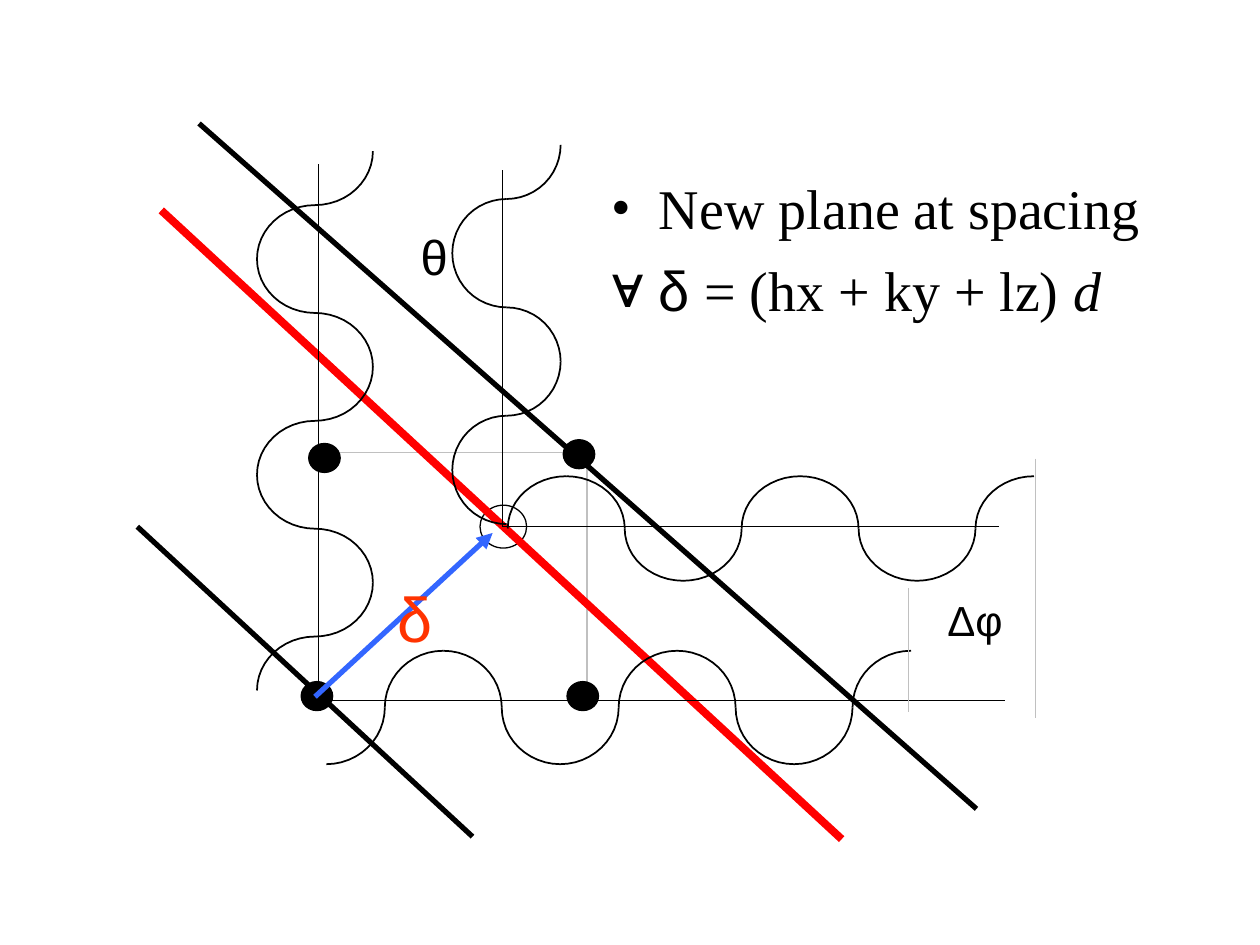
from dataclasses import dataclass
from math import cos, pi, sin
from typing import Optional

from lxml.etree import SubElement
from pptx import Presentation
from pptx.dml.color import RGBColor
from pptx.enum.shapes import MSO_CONNECTOR, MSO_SHAPE
from pptx.enum.text import MSO_ANCHOR, MSO_AUTO_SIZE, PP_ALIGN
from pptx.oxml.ns import qn
from pptx.util import Emu, Inches, Pt


@dataclass(frozen=True)
class Theme:
    black: str = "000000"
    white: str = "FFFFFF"
    grey: str = "C0C0C0"
    red: str = "FF0000"
    blue: str = "3366FF"
    orange: str = "FF3300"
    serif: str = "Times New Roman"
    sans: str = "Arial"
    body_size: int = 32
    theta_size: int = 28
    delta_size: int = 36
    phase_size: int = 24
    hairline: float = 0.75
    wave_line: float = 1
    plane_line: float = 3
    new_plane_line: float = 4.5


@dataclass(frozen=True)
class Box:
    col: float
    row: float
    cols: float
    rows: float


@dataclass(frozen=True)
class Stroke:
    start: tuple[float, float]
    end: tuple[float, float]
    color: str
    width: float
    arrow: bool = False


@dataclass(frozen=True)
class Wave:
    origin: tuple[float, float]
    travel: tuple[float, float]
    swing: tuple[float, float]
    first_quarter: int
    quarters: int


@dataclass(frozen=True)
class Label:
    box: Box
    symbol: str
    size: int
    color: str


THEME = Theme()
COLUMNS, ROWS = 100, 75
CELL = Inches(10) // COLUMNS
ARC_STEPS = 12

UNIT_CELL = Box(25.3, 35.9, 21.3, 19.7)
ATOM_COLS, ATOM_ROWS = 2.5, 2.3
ATOMS = [(24.5, 35.2), (44.7, 34.9), (23.9, 54.1), (45, 54.1)]
NEW_ATOM = Box(38.1, 40.1, 3.7, 3.4)
LOWER_PLANE = Stroke((10.9, 41.8), (37.5, 66.4), THEME.black, THEME.plane_line)
UPPER_PLANE = Stroke((15.8, 9.8), (77.5, 64.2), THEME.black, THEME.plane_line)
NEW_PLANE = Stroke((12.8, 16.7), (66.8, 66.6), THEME.red, THEME.new_plane_line)
SPACING = Stroke((25, 55.3), (39.1, 42.3), THEME.blue, THEME.plane_line, True)
RAYS = [
    Stroke(start, end, THEME.black, THEME.hairline)
    for start, end in [
        ((25.3, 55.6), (25.3, 13)),
        ((39.9, 41.8), (39.9, 13.5)),
        ((39.9, 41.8), (79.3, 41.8)),
        ((26.1, 55.6), (79.8, 55.6)),
    ]
]
PHASE_MARKS = [
    Stroke((col, top), (col, bottom), THEME.grey, THEME.hairline)
    for col, top, bottom in [(72.1, 46.7, 56.5), (82.2, 36.4, 57)]
]
WAVES = [
    Wave((40.3, 41.95), (4.64, 0), (0, -4.15), 0, 9),
    Wave((25.9, 56.15), (4.64, 0), (0, -4.5), 3, 10),
    Wave((25, 54.8), (0, -4.28), (4.6, 0), 3, 10),
    Wave((40.2, 41.6), (0, -4.3), (-4.3, 0), 0, 7),
]
THETA = Label(Box(32.4, 17.5, 10.9, 7.9), "θ", THEME.theta_size, THEME.black)
DELTA = Label(Box(30.6, 45.5, 8.8, 8.1), "δ", THEME.delta_size, THEME.orange)
PHASE = Label(Box(74.2, 46.7, 11.2, 7.9), "Δφ", THEME.phase_size, THEME.black)
STATEMENT = Box(47.5, 13.3, 47.5, 15.8)
BULLETS = [
    ("•", [("New plane at spacing", THEME.serif, False)]),
    ("∀", [("δ", THEME.sans, False),
           (" = (hx + ky + lz) ", THEME.serif, False),
           ("d", THEME.serif, True)]),
]


def cells(count: float) -> Emu:
    return Emu(round(count * CELL))


def frame(box: Box) -> tuple[Emu, ...]:
    return tuple(cells(n) for n in (box.col, box.row, box.cols, box.rows))


def outline(shape, color: str, width: float) -> None:
    shape.line.color.rgb = RGBColor.from_string(color)
    shape.line.width = Pt(width)


def draw_solid(shapes, kind: MSO_SHAPE, box: Box, fill: str, edge: str) -> None:
    solid = shapes.add_shape(kind, *frame(box))
    solid.shadow.inherit = False
    solid.fill.solid()
    solid.fill.fore_color.rgb = RGBColor.from_string(fill)
    outline(solid, edge, THEME.hairline)


def draw_stroke(shapes, stroke: Stroke) -> None:
    ends = [cells(n) for n in (*stroke.start, *stroke.end)]
    connector = shapes.add_connector(MSO_CONNECTOR.STRAIGHT, *ends)
    outline(connector, stroke.color, stroke.width)
    properties = connector._element.spPr
    if stroke.arrow:
        SubElement(properties.find(qn("a:ln")), qn("a:tailEnd"), type="triangle")
    SubElement(properties, qn("a:effectLst"))


def wave_point(wave: Wave, index: int, turn: float) -> tuple[int, int]:
    quarter = wave.first_quarter + index
    rising = quarter % 2 == 0
    sign = 1 if quarter % 4 < 2 else -1
    along = index + (1 - cos(turn) if rising else sin(turn))
    across = sign * (sin(turn) if rising else cos(turn))
    col, row = (o + along * t + across * s
                for o, t, s in zip(wave.origin, wave.travel, wave.swing))
    return cells(col), cells(row)


def draw_wave(shapes, wave: Wave) -> None:
    group = shapes.add_group_shape()
    for index in range(wave.quarters):
        points = [wave_point(wave, index, step * pi / 2 / ARC_STEPS)
                  for step in range(ARC_STEPS + 1)]
        builder = group.shapes.build_freeform(*points[0])
        builder.add_line_segments(points[1:], close=False)
        arc = builder.convert_to_shape()
        arc.shadow.inherit = False
        arc.fill.background()
        outline(arc, THEME.black, THEME.wave_line)


def add_run(paragraph, text: str, font: str, size: int, color: str,
            italic: Optional[bool] = None) -> None:
    run = paragraph.add_run()
    run.text = text
    run.font.name = font
    run.font.size = Pt(size)
    run.font.italic = italic
    run.font.color.rgb = RGBColor.from_string(color)


def draw_label(shapes, label: Label) -> None:
    text_frame = shapes.add_textbox(*frame(label.box)).text_frame
    text_frame.word_wrap = True
    add_run(text_frame.paragraphs[0], label.symbol, THEME.sans, label.size, label.color)


def set_bullet(paragraph, symbol: str) -> None:
    properties = paragraph._p.get_or_add_pPr()
    properties.set("marL", str(cells(3.8)))
    properties.set("indent", str(-cells(3.8)))
    color = SubElement(properties, qn("a:buClr"))
    SubElement(color, qn("a:srgbClr"), val=THEME.black)
    SubElement(properties, qn("a:buFont"), typeface=THEME.serif)
    SubElement(properties, qn("a:buChar"), char=symbol)


def write_statement(body) -> None:
    body.left, body.top, body.width, body.height = frame(STATEMENT)
    text_frame = body.text_frame
    text_frame.auto_size = MSO_AUTO_SIZE.NONE
    text_frame.vertical_anchor = MSO_ANCHOR.TOP
    text_frame.word_wrap = True
    for index, (symbol, runs) in enumerate(BULLETS):
        paragraph = text_frame.add_paragraph() if index else text_frame.paragraphs[0]
        paragraph.alignment = PP_ALIGN.LEFT
        paragraph.space_before = Pt(8)
        set_bullet(paragraph, symbol)
        for text, font, italic in runs:
            add_run(paragraph, text, font, THEME.body_size, THEME.black, italic)


def main() -> None:
    deck = Presentation()
    deck.slide_width, deck.slide_height = cells(COLUMNS), cells(ROWS)
    slide = deck.slides.add_slide(deck.slide_layouts[1])
    shapes = slide.shapes
    title = shapes.title._element
    title.getparent().remove(title)
    write_statement(slide.placeholders[1])
    draw_solid(shapes, MSO_SHAPE.RECTANGLE, UNIT_CELL, THEME.white, THEME.grey)
    for col, row in ATOMS:
        atom = Box(col, row, ATOM_COLS, ATOM_ROWS)
        draw_solid(shapes, MSO_SHAPE.OVAL, atom, THEME.black, THEME.black)
    draw_stroke(shapes, LOWER_PLANE)
    draw_solid(shapes, MSO_SHAPE.OVAL, NEW_ATOM, THEME.white, THEME.black)
    for stroke in [NEW_PLANE, *RAYS, SPACING]:
        draw_stroke(shapes, stroke)
    for wave in WAVES:
        draw_wave(shapes, wave)
    for label in [THETA, DELTA, PHASE]:
        draw_label(shapes, label)
    for stroke in [*PHASE_MARKS, UPPER_PLANE]:
        draw_stroke(shapes, stroke)
    deck.save("out.pptx")


if __name__ == "__main__":
    main()
